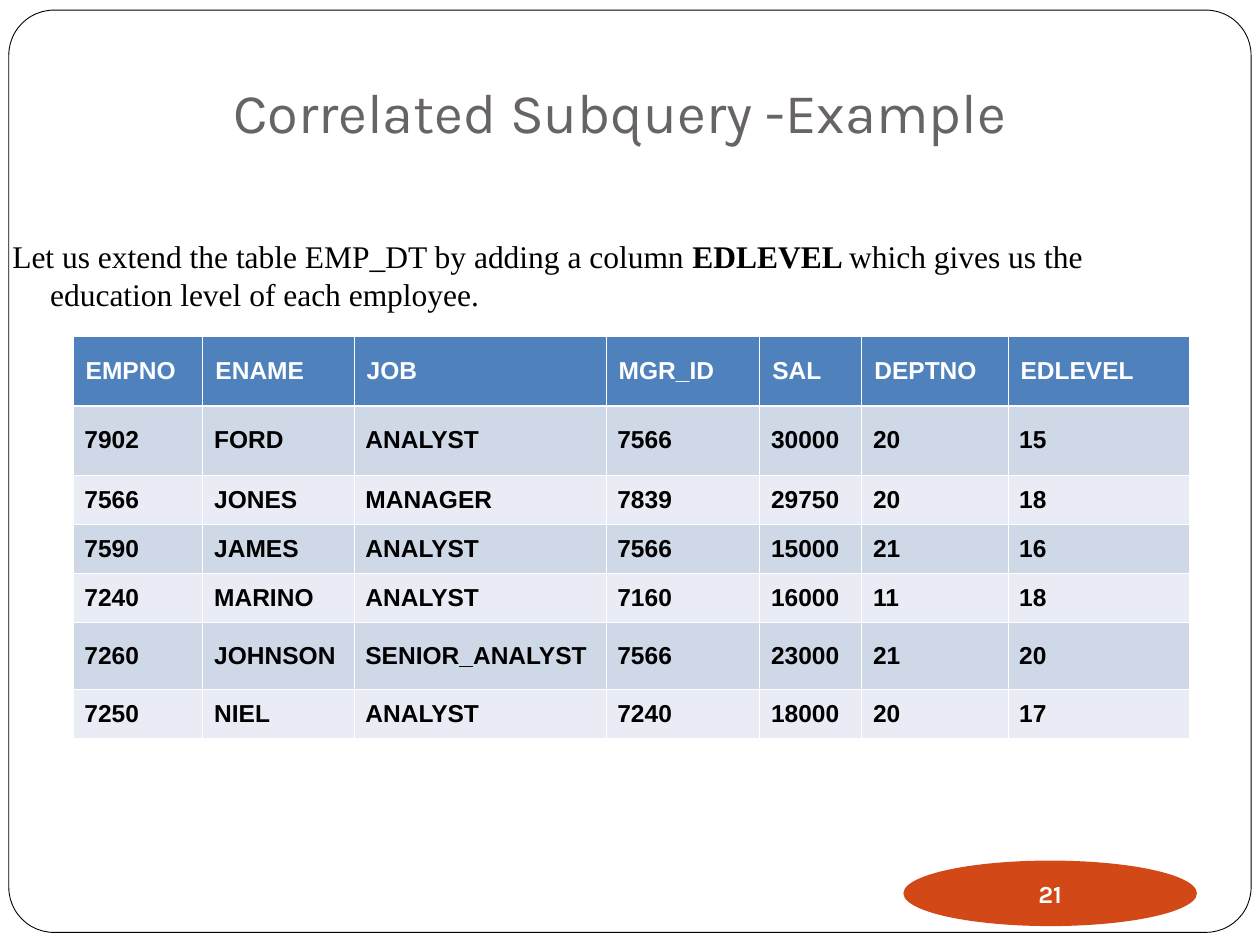
from dataclasses import dataclass

import lxml.etree
import pptx
import pptx.dml.color
import pptx.enum.shapes
import pptx.enum.text
import pptx.oxml.ns
import pptx.util

Inches = pptx.util.Inches
Pt = pptx.util.Pt
qn = pptx.oxml.ns.qn
ANCHOR = pptx.enum.text.MSO_ANCHOR
ALIGN = pptx.enum.text.PP_ALIGN
SHAPE = pptx.enum.shapes.MSO_SHAPE


@dataclass(frozen=True)
class Theme:
    """Fonts, colours and sizes of the slide."""
    display_font: str = "Karla"
    intro_font: str = "Times New Roman"
    table_font: str = "Arial"
    title_color: str = "696464"
    black: str = "000000"
    white: str = "FFFFFF"
    badge: str = "D34817"
    header: str = "4F81BD"
    bands: tuple = ("CFD8E7", "E9ECF4")
    title_size: float = 32
    intro_size: float = 18
    small_size: float = 14
    frame_line: float = 0.5
    thin_border: float = 0.45
    header_border: float = 1.47


THEME = Theme()

TITLE = "Correlated Subquery -Example"
INTRO = (
    ("Let us extend the table EMP_DT by adding a column ", False),
    ("EDLEVEL ", True),
    ("which gives us the education level of each employee.", False),
)
EMPLOYEES = (
    ("EMPNO", "ENAME", "JOB", "MGR_ID", "SAL", "DEPTNO", "EDLEVEL"),
    ("7902", "FORD", "ANALYST", "7566", "30000", "20", "15"),
    ("7566", "JONES", "MANAGER", "7839", "29750", "20", "18"),
    ("7590", "JAMES", "ANALYST", "7566", "15000", "21", "16"),
    ("7240", "MARINO", "ANALYST", "7160", "16000", "11", "18"),
    ("7260", "JOHNSON", "SENIOR_ANALYST", "7566", "23000", "21", "20"),
    ("7250", "NIEL", "ANALYST", "7240", "18000", "20", "17"),
)
COLUMN_WIDTHS = (1.03, 1.2, 2, 1.22, 0.81, 1.16, 1.44)
ROW_HEIGHTS = (0.55, 0.55, 0.39, 0.39, 0.39, 0.53, 0.39)


def inches(box):
    """Convert a box in inches to lengths."""
    return [Inches(length) for length in box]


def rgb(color):
    """Return the colour for a hex string."""
    return pptx.dml.color.RGBColor.from_string(color)


def style_runs(paragraph, font, size, color, bold=False):
    """Format every run of a paragraph alike."""
    for run in paragraph.runs:
        run.font.name = font
        run.font.size = Pt(size)
        run.font.color.rgb = rgb(color)
        run.font.bold = bold


def set_margins(holder, left, top, right, bottom):
    """Set the insets of a text frame or a cell."""
    holder.margin_left, holder.margin_top = Inches(left), Inches(top)
    holder.margin_right, holder.margin_bottom = Inches(right), Inches(bottom)


def add_frame(slide, box):
    """Draw the rounded page frame behind everything else."""
    frame = slide.shapes.add_shape(SHAPE.ROUNDED_RECTANGLE, *inches(box))
    frame.adjustments[0] = 0.049
    frame.shadow.inherit = False
    frame.fill.solid()
    frame.fill.fore_color.rgb = rgb(THEME.white)
    frame.line.color.rgb = rgb(THEME.black)
    frame.line.width = Pt(THEME.frame_line)
    slide.shapes.title.element.addprevious(frame.element)


def place_title(slide, box):
    """Position and format the title placeholder."""
    title = slide.shapes.title
    title.left, title.top, title.width, title.height = inches(box)
    text = title.text_frame
    text.text = TITLE
    text.auto_size = pptx.enum.text.MSO_AUTO_SIZE.NONE
    text.vertical_anchor = ANCHOR.BOTTOM
    set_margins(text, 0.1, 0.05, 0.1, 0.1)
    text.paragraphs[0].alignment = ALIGN.LEFT
    style_runs(text.paragraphs[0], THEME.display_font, THEME.title_size, THEME.title_color)


def add_page_badge(slide, box, number):
    """Draw the oval that carries the page number."""
    badge = slide.shapes.add_shape(SHAPE.OVAL, *inches(box))
    badge.shadow.inherit = False
    badge.fill.solid()
    badge.fill.fore_color.rgb = rgb(THEME.badge)
    badge.line.fill.background()
    text = badge.text_frame
    text.text = number
    text.word_wrap = False
    text.vertical_anchor = ANCHOR.MIDDLE
    set_margins(text, 0, 0, 0, 0)
    text.paragraphs[0].alignment = ALIGN.CENTER
    style_runs(text.paragraphs[0], THEME.display_font, THEME.small_size, THEME.white, True)


def add_intro(slide, box):
    """Write the introduction with a hanging indent."""
    text = slide.shapes.add_textbox(*inches(box)).text_frame
    text.word_wrap = True
    paragraph = text.paragraphs[0]
    properties = paragraph._p.get_or_add_pPr()
    properties.set("marL", str(Inches(0.3)))
    properties.set("indent", str(Inches(-0.3)))
    for words, _ in INTRO:
        paragraph.add_run().text = words
    style_runs(paragraph, THEME.intro_font, THEME.intro_size, THEME.black)
    for run, (_, bold) in zip(paragraph.runs, INTRO):
        run.font.bold = bold


def set_borders(cell, top, bottom):
    """Give a cell white borders, with its own top and bottom widths."""
    properties = cell._tc.get_or_add_tcPr()
    thin = THEME.thin_border
    sides = (("a:lnL", thin), ("a:lnR", thin), ("a:lnT", top), ("a:lnB", bottom))
    for position, (side, width) in enumerate(sides):
        line = lxml.etree.Element(qn(side), w=str(Pt(width)))
        fill = lxml.etree.SubElement(line, qn("a:solidFill"))
        lxml.etree.SubElement(fill, qn("a:srgbClr"), val=THEME.white)
        properties.insert(position, line)


def format_cell(cell, row):
    """Format a cell as header or as part of a band."""
    is_header = row == 0
    cell.fill.solid()
    cell.fill.fore_color.rgb = rgb(THEME.header if is_header else THEME.bands[(row - 1) % 2])
    cell.vertical_anchor = ANCHOR.MIDDLE
    side = 0.1 if is_header else 0.09
    set_margins(cell, side, 0.05, side, 0.05)
    set_borders(
        cell,
        THEME.header_border if row == 1 else THEME.thin_border,
        THEME.header_border if is_header else THEME.thin_border,
    )
    color = THEME.white if is_header else THEME.black
    style_runs(cell.text_frame.paragraphs[0], THEME.table_font, THEME.small_size, color, True)


def add_employee_table(slide, left, top):
    """Build the employee table from its top left corner."""
    box = (left, top, sum(COLUMN_WIDTHS), sum(ROW_HEIGHTS))
    employees = slide.shapes.add_table(len(EMPLOYEES), len(COLUMN_WIDTHS), *inches(box)).table
    for column, width in zip(employees.columns, COLUMN_WIDTHS):
        column.width = Inches(width)
    for row, (record, height) in enumerate(zip(EMPLOYEES, ROW_HEIGHTS)):
        employees.rows[row].height = Inches(height)
        for column, value in enumerate(record):
            cell = employees.cell(row, column)
            cell.text_frame.text = value
            format_cell(cell, row)


def main():
    """Build and save the slide."""
    deck = pptx.Presentation()
    deck.slide_width, deck.slide_height = Inches(10), Inches(7.5)
    slide = deck.slides.add_slide(deck.slide_layouts.get_by_name("Title Only"))
    add_frame(slide, (0.07, 0.08, 9.86, 7.32))
    place_title(slide, (1.75, 0, 8.25, 1.25))
    add_page_badge(slide, (7.17, 6.83, 2.33, 0.52), "21")
    add_intro(slide, (0, 1.83, 9.5, 4.42))
    add_employee_table(slide, 0.58, 2.67)
    deck.save("out.pptx")


if __name__ == "__main__":
    main()
